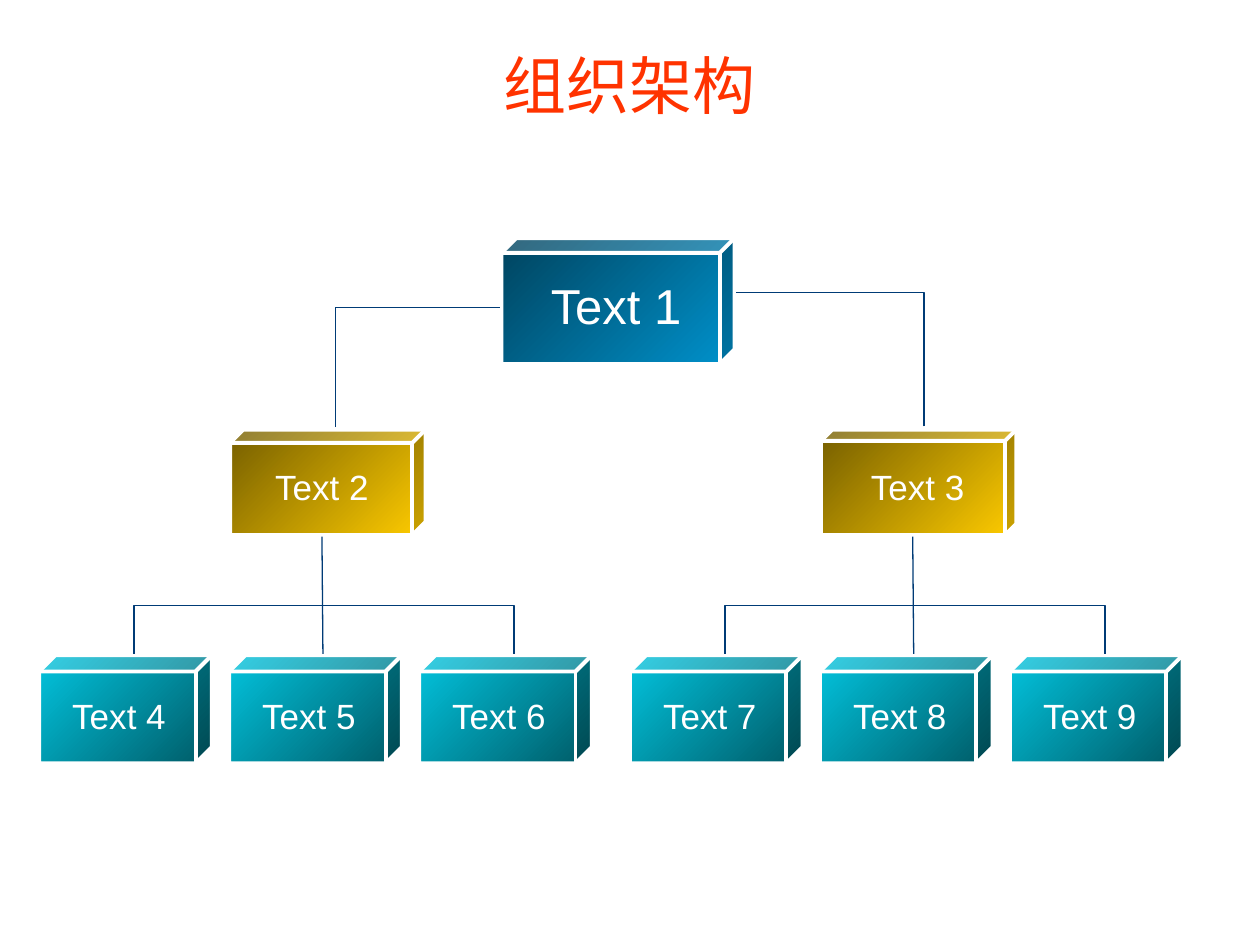
from lxml import etree
from pptx import Presentation
from pptx.dml.color import RGBColor
from pptx.enum import shapes, text
from pptx.oxml.ns import qn
from pptx.util import Cm, Pt

COLORS = {"title": "FF3300", "white": "FFFFFF", "line": "003B76"}
# Gradients run from the lower right corner to the upper left one.
GRADIENTS = {
    "root": ("0092CC", "00435E"),
    "team": ("FFCC00", "755E00"),
    "leaf": ("005A66", "02C4DE"),
}


def rgb(name):
    return RGBColor.from_string(COLORS[name])


def add_label(s, words, left, top, width, height, size, color):
    tb = s.shapes.add_textbox(Cm(left), Cm(top), Cm(width), Cm(height))
    tf = tb.text_frame
    tf.word_wrap = True
    tf.vertical_anchor = text.MSO_ANCHOR.MIDDLE
    p = tf.paragraphs[0]
    p.alignment = text.PP_ALIGN.CENTER
    r = p.add_run()
    r.text = words
    r.font.name = "Arial"
    r.font.size = Pt(size)
    r.font.color.rgb = rgb(color)


def add_node(s, kind, words, box, depth, label, size=20):
    """Cube in box, with a label given as (dx, dy, width) from its corner."""
    left, top, width, height = box
    sp = s.shapes.add_shape(shapes.MSO_SHAPE.CUBE, Cm(left), Cm(top), Cm(width), Cm(height))
    sp.shadow.inherit = False
    sp.adjustments[0] = depth
    sp.fill.gradient()
    sp.fill.gradient_angle = 135
    for stop, color, position in zip(sp.fill.gradient_stops, GRADIENTS[kind], (0, 1)):
        stop.color.rgb = RGBColor.from_string(color)
        stop.position = position
    sp.line.color.rgb = rgb("white")
    sp.line.width = Pt(2.25)
    dx, dy, label_width = label
    add_label(s, words, left + dx, top + dy, label_width, 1.09, size, "white")


def add_line(s, kind, x1, y1, x2, y2):
    c = s.shapes.add_connector(kind, Cm(x1), Cm(y1), Cm(x2), Cm(y2))
    c.line.color.rgb = rgb("line")
    c.line.width = Pt(0.75)
    etree.SubElement(c._element.spPr, qn("a:effectLst"))
    return c


def add_elbow(s, preset, left, top, width, height, turn, flips, bend=None):
    """Bent connector whose box is flipped, then turned by some degrees."""
    c = add_line(s, shapes.MSO_CONNECTOR.ELBOW, left, top, left + width, top + height)
    xfrm = c._element.spPr.find(qn("a:xfrm"))
    xfrm.set("rot", str(turn * 60000))
    for flip in flips:
        xfrm.set("flip" + flip, "1")
    geom = c._element.spPr.find(qn("a:prstGeom"))
    geom.set("prst", preset)
    if bend is not None:
        guides = geom.find(qn("a:avLst"))
        if guides is None:
            guides = etree.SubElement(geom, qn("a:avLst"))
        etree.SubElement(guides, qn("a:gd"), name="adj1", fmla=f"val {round(bend * 100000)}")


def add_root(s, left, top):
    add_node(s, "root", "Text 1", (left, top, 4.7, 2.54), 0.117, (0.43, 0.81, 3.76), 28)
    add_elbow(s, "bentConnector2", left - 2.89, top + 0.94, 2.41, 3.33, 90, "HV")
    add_elbow(s, "bentConnector2", left + 5.28, top + 0.56, 2.69, 3.78, 270, "V")


def add_branch(s, left, top, team, leaves, depth, label_dx):
    add_node(s, "team", team, (left + 3.85, top, 3.94, 2.13), depth, (label_dx, 0.61, 2.74))
    for i, leaf in enumerate(leaves):
        add_node(s, "leaf", leaf, (left + 3.83 * i, top + 4.55, 3.48, 2.18), 0.15, (0.24, 0.66, 2.74))
    add_line(s, shapes.MSO_CONNECTOR.STRAIGHT, left + 5.7, top + 2.16, left + 5.72, top + 4.52)
    rise, thin = 0.97, 0.01
    add_elbow(s, "bentConnector3", left + 5.74, top + 0.69, thin, 7.66, 270, "H", -rise / thin)


def main():
    prs = Presentation()
    prs.slide_width, prs.slide_height = Cm(25.4), Cm(19.05)
    s = prs.slides.add_slide(prs.slide_layouts[6])
    add_label(s, "组织架构", 0, 0.64, 25.4, 2.11, 36, "title")
    add_root(s, 10.11, 4.8)
    add_branch(s, 0.79, 8.66, "Text 2", ("Text 4", "Text 5", "Text 6"), 0.126, 0.48)
    add_branch(s, 12.7, 8.66, "Text 3", ("Text 7", "Text 8", "Text 9"), 0.108, 0.58)
    prs.save("out.pptx")


if __name__ == "__main__":
    main()
